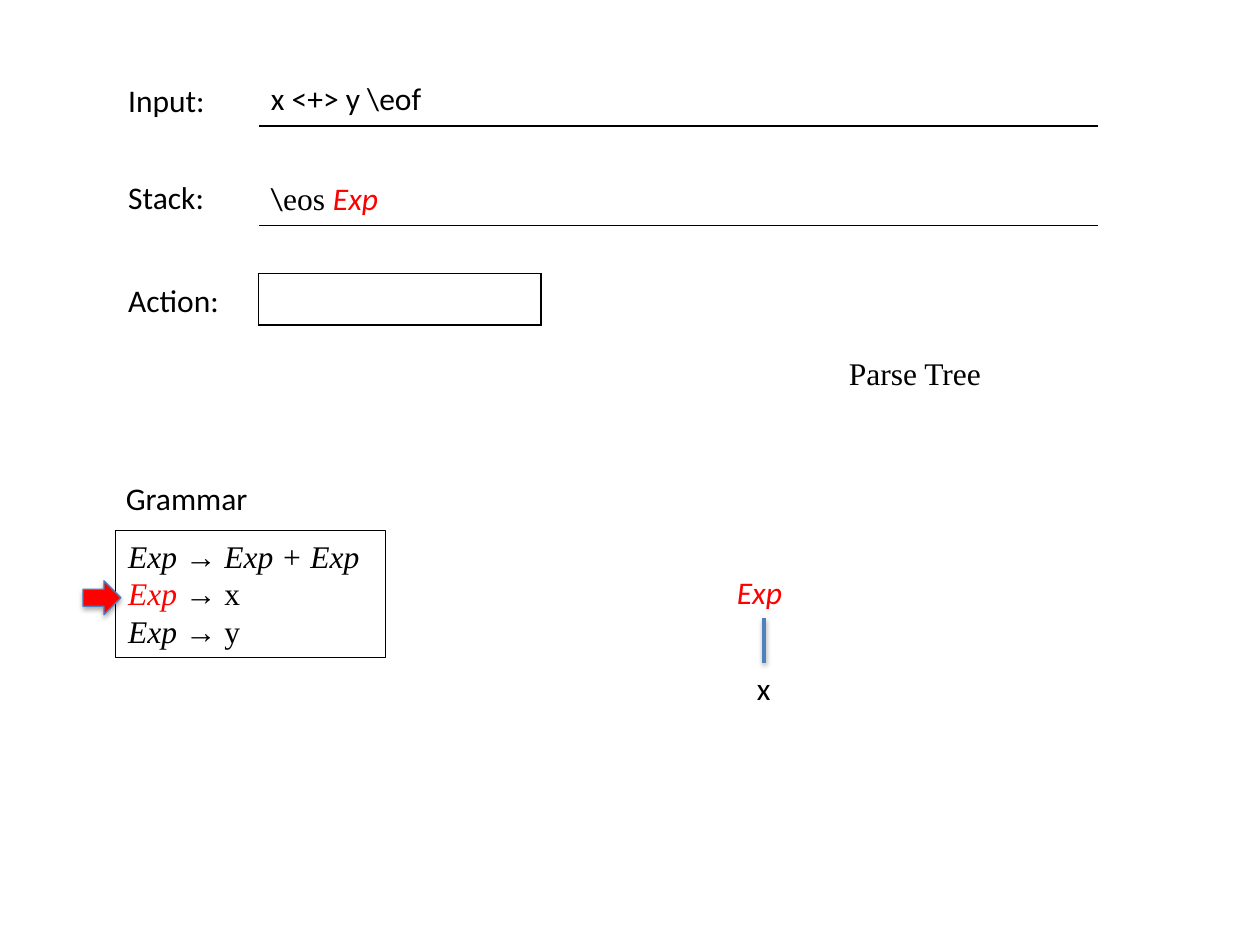
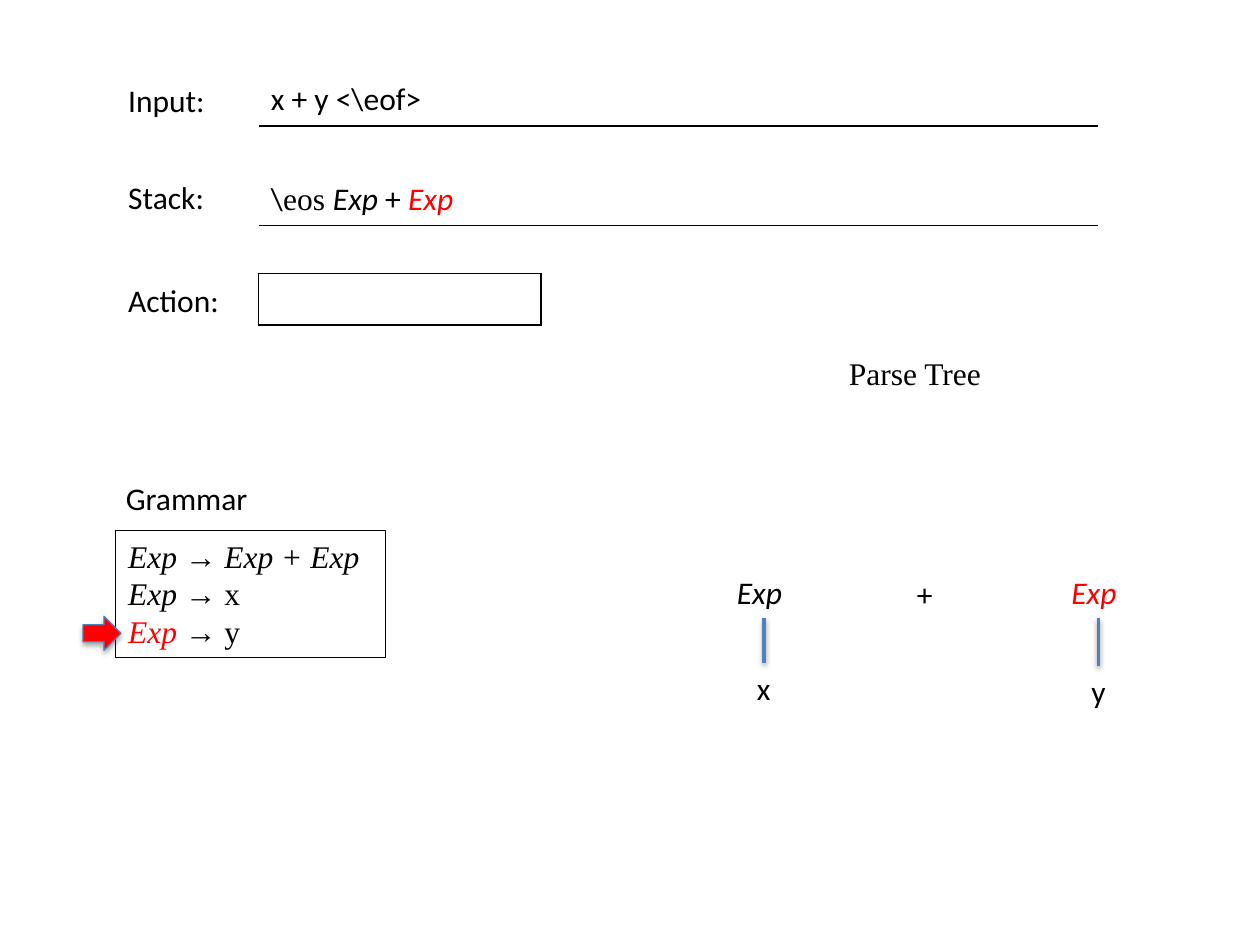
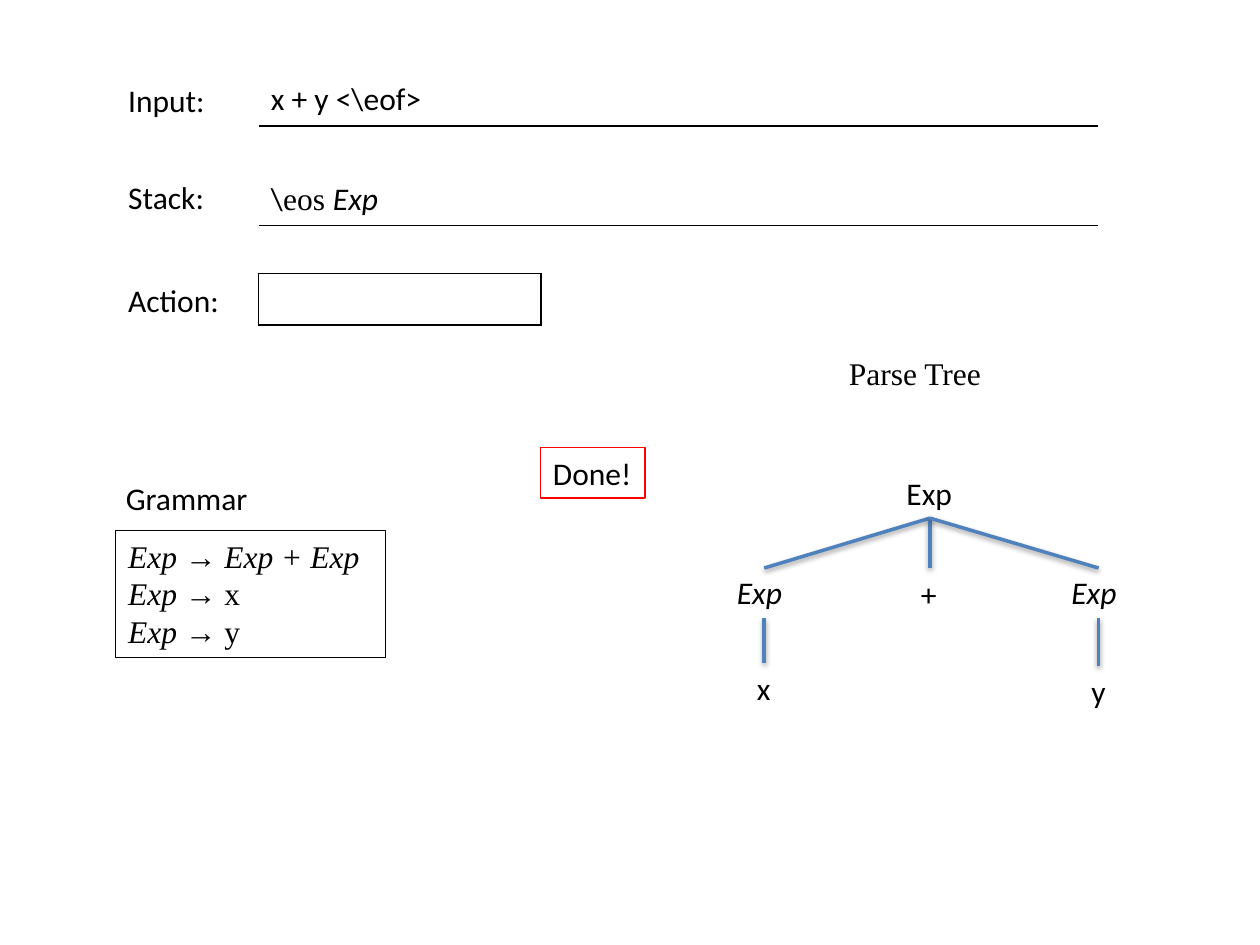
from lxml.etree import SubElement
from pptx import Presentation
from pptx.dml.color import RGBColor
from pptx.enum.shapes import MSO_CONNECTOR, MSO_SHAPE
from pptx.enum.text import MSO_AUTO_SIZE
from pptx.oxml import parse_xml
from pptx.oxml.ns import nsdecls, qn
from pptx.util import Pt

HUE = {"ink": "000000", "paper": "FFFFFF", "mark": "FF0000",
       "edge": "4F81BD", "rim": "4B7EBC"}
SANS, SERIF = "Calibri", "Times New Roman"
TALL = 29
EXP = {"text": "Exp", "italic": True}


def tint(name):
    """Return the named colour."""
    return RGBColor.from_string(HUE[name])


def mark(on):
    """Return the colour of a symbol that is active or not."""
    return "mark" if on else "ink"


def write(para, text, font=SANS, size=18, hue="ink", italic=False):
    """Add one formatted run to a paragraph."""
    run = para.add_run()
    run.text = text
    run.font.name = font
    run.font.size = Pt(size)
    run.font.italic = italic
    run.font.color.rgb = tint(hue)


def label(slide, x, y, wide, lines, tall=TALL, line=None):
    """Place a text box whose lines are lists of run formats."""
    box = slide.shapes.add_textbox(Pt(x), Pt(y), Pt(wide), Pt(tall))
    frame = box.text_frame
    frame.word_wrap = False
    frame.auto_size = MSO_AUTO_SIZE.SHAPE_TO_FIT_TEXT
    for i, runs in enumerate(lines):
        para = frame.add_paragraph() if i else frame.paragraphs[0]
        for run in runs:
            write(para, **run)
    if line:
        box.line.color.rgb = tint(line)
        box.line.width = Pt(0.75)


def shade(shape, alpha, drop):
    """Give a shape a soft shadow straight below it."""
    props = shape._element.spPr
    old = props.find(qn("a:effectLst"))
    if old is not None:
        props.remove(old)
    glow = SubElement(props, qn("a:effectLst"))
    glow.append(parse_xml(
        f'<a:outerShdw {nsdecls("a")} blurRad="{Pt(3.1)}" dist="{Pt(drop)}" '
        f'dir="5400000" rotWithShape="0"><a:srgbClr val="{HUE["ink"]}">'
        f'<a:alpha val="{alpha * 1000}"/></a:srgbClr></a:outerShdw>'))


def edge(slide, x1, y1, x2, y2):
    """Draw one edge of the tree."""
    line = slide.shapes.add_connector(
        MSO_CONNECTOR.STRAIGHT, Pt(x1), Pt(y1), Pt(x2), Pt(y2))
    line.line.color.rgb = tint("edge")
    line.line.width = Pt(2)
    shade(line, 38, 1.6)


def field(slide, x, y, wide, runs, sides):
    """Place a one-cell table with ink on the given sides."""
    table = slide.shapes.add_table(
        1, 1, Pt(x), Pt(y), Pt(wide), Pt(29.5)).table
    table.first_row = table.horz_banding = False
    cell = table.cell(0, 0)
    for run in runs:
        write(cell.text_frame.paragraphs[0], **run)
    cell.fill.solid()
    cell.fill.fore_color.rgb = tint("paper")
    props = cell._tc.get_or_add_tcPr()
    for i, side in enumerate("LRTB"):
        hue = HUE["ink" if side in sides else "paper"]
        props.insert(i, parse_xml(
            f'<a:ln{side} {nsdecls("a")} w="{Pt(1)}"><a:solidFill>'
            f'<a:srgbClr val="{hue}"/></a:solidFill></a:ln{side}>'))


def state(slide, x, y, feed, stack):
    """Place the input, stack and action rows."""
    eos = [{"text": "\\"}, {"text": "eos ", "font": SERIF}]
    rows = [("Input:", 0, 59, 480, [{"text": feed}], "B"),
            ("Stack:", 55.4, 58.3, 480, eos + stack, "B"),
            ("Action:", 114.5, 67, 161.5, [], "LRTB")]
    for i, (name, top, wide, span, runs, sides) in enumerate(rows):
        label(slide, x, y + top, wide, [[{"text": name}]])
        field(slide, x + 81.4, y + 56.9 * i, span, runs, sides)


def rules(slide, x, y, used=None):
    """Place the grammar and an arrow at the rule in use."""
    label(slide, x - 1.4, y - 33.1, 85, [[{"text": "Grammar"}]])
    lines = []
    for i, (body, slant) in enumerate(
            [("Exp + Exp", True), ("x", False), ("y", False)]):
        lines.append([
            {"text": "Exp ", "font": SERIF, "italic": True,
             "hue": mark(i == used)},
            {"text": "→ ", "font": SERIF},
            {"text": body, "font": SERIF, "italic": slant}])
    label(slide, x, y, 154, lines, tall=72.7, line="ink")
    if used is not None:
        arrow = slide.shapes.add_shape(
            MSO_SHAPE.RIGHT_ARROW, Pt(x - 18.7), Pt(y + 8.5 + 20.3 * used),
            Pt(21.6), Pt(19.4))
        arrow.fill.solid()
        arrow.fill.fore_color.rgb = tint("mark")
        arrow.line.color.rgb = tint("rim")
        arrow.line.width = Pt(0.75)
        shade(arrow, 35, 1.8)


def node(slide, mid, y, wide, **form):
    """Place a tree symbol centred on a given x."""
    label(slide, mid - wide / 2, y, wide, [[form]])


def branch(slide, mid, y, leaf, drop, hot):
    """Place an expression above its leaf."""
    node(slide, mid, y, 45.4, **EXP, hue=mark(hot))
    edge(slide, mid, y + 29, mid, y + drop)
    node(slide, mid, y + drop, 22.6, text=leaf)


def tree(slide, x, y, leaves, hot=None, root=False):
    """Place the parse tree built so far."""
    label(slide, x + 64, y - 68.4, 90.7,
          [[{"text": "Parse Tree", "font": SERIF}]])
    left, mid, right, low = x + 22.7, x + 117.4, x + 213.8, y + 57
    for leaf, at, drop in zip(leaves, (left, right), (54.7, 56.2)):
        branch(slide, at, low, leaf, drop, leaf == hot)
    if len(leaves) > 1:
        node(slide, mid if root else mid - 2.3, low + 0.7, 24.4, text="+")
    if root:
        node(slide, mid, y, 41, text="Exp")
        for at in (left, mid, right):
            edge(slide, mid, y + 29, at, low + 0.5)


def step(deck, feed, stack, used=None, **growth):
    """Add one slide showing a step of the parse."""
    slide = deck.slides.add_slide(deck.slide_layouts[6])
    state(slide, 66.2, 42.5, feed, stack)
    rules(slide, 66.2, 303.1, used)
    tree(slide, 414, 267.1, **growth)
    return slide


def main():
    """Build the three steps and save them."""
    deck = Presentation()
    deck.slide_width, deck.slide_height = Pt(720), Pt(540)
    hot = {**EXP, "hue": "mark"}
    step(deck, "x <+> y \\eof", [hot], 1, leaves="x", hot="x")
    step(deck, "x + y <\\eof>",
         [{"text": "Exp ", "italic": True}, {"text": "+ "}, hot],
         2, leaves="xy", hot="y")
    last = step(deck, "x + y <\\eof>", [EXP], leaves="xy", root=True)
    label(last, 308.9, 255.6, 59.8, [[{"text": "Done!"}]], line="mark")
    deck.save("out.pptx")


if __name__ == "__main__":
    main()
